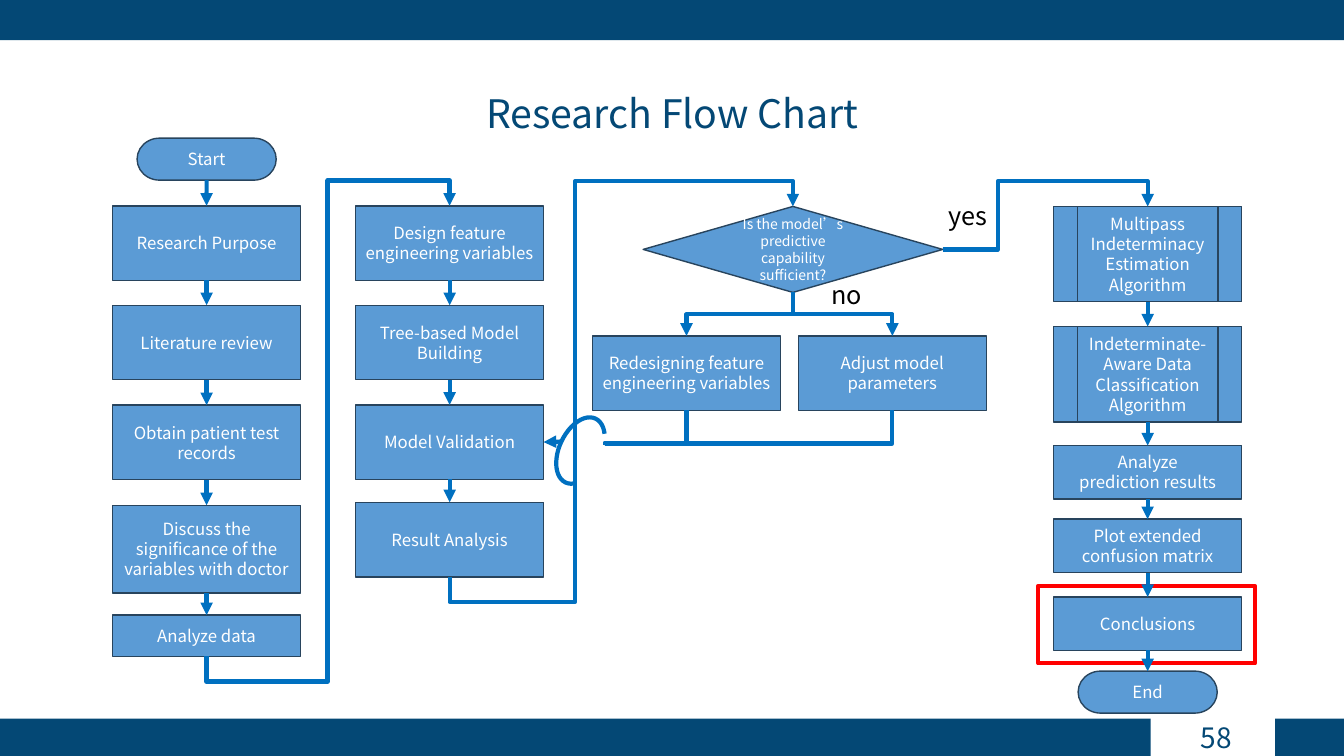
from dataclasses import dataclass
from itertools import pairwise

from lxml import etree
from pptx import Presentation
from pptx import util as u
from pptx.dml.color import RGBColor
from pptx.enum import shapes, text
from pptx.oxml.ns import qn

Pt = u.Pt
Kind = shapes.MSO_SHAPE
Align = text.PP_ALIGN
Anchor = text.MSO_ANCHOR

FONT = "Noto Sans CJK SC"
COLOURS = {
    "navy": "044875", "box": "5B9BD5", "edge": "28445D", "arrow": "0070C0",
    "frame": "FF0000", "white": "FFFFFF", "black": "000000",
}
TOP, LEFT, BOTTOM, RIGHT = range(4)
FIRST, SECOND, LAST = 147.6, 321.2, 819.8  # centres of the three columns
BOX_WIDTH, BOX_HEIGHT = 134.2, 53.2


@dataclass(frozen=True)
class Node:
    label: str
    centre: float
    top: float
    height: float = BOX_HEIGHT
    width: float = BOX_WIDTH
    kind: Kind = Kind.FLOWCHART_PROCESS
    size: float = 12

    def site(self, side: int) -> tuple[float, float]:
        """Point at the middle of one side."""
        dx, dy = ((0, 0), (-0.5, 0.5), (0, 1), (0.5, 0.5))[side]
        return self.centre + dx * self.width, self.top + dy * self.height


@dataclass(frozen=True)
class Elbow:
    """Bends are absolute positions, taken in turn along the two axes."""
    source: Node
    target: Node | tuple[float, float]
    bends: tuple[float, ...]
    side: int = BOTTOM


start = Node("Start", FIRST, 98.7, 30, 99.4, Kind.FLOWCHART_TERMINATOR)
analyze = Node("Analyze data", FIRST, 439.4, 29.5)
design = Node("Design feature engineering variables", SECOND, 147)
validation = Node("Model Validation", SECOND, 289.2)
result = Node("Result Analysis", SECOND, 358.8)
decision = Node("Is the model’s predictive capability sufficient?", 566.4, 147.5,
                61.4, 214, Kind.FLOWCHART_DECISION, 10)
redesign = Node("Redesigning feature engineering variables", 490.4, 239.9)
adjust = Node("Adjust model parameters", 637.4, 239.9)
multipass = Node("Multipass Indeterminacy Estimation Algorithm", LAST, 147.5, 68,
                 kind=Kind.FLOWCHART_PREDEFINED_PROCESS)

CHAINS = [
    [start,
     Node("Research Purpose", FIRST, 147),
     Node("Literature review", FIRST, 218),
     Node("Obtain patient test records", FIRST, 289.4),
     Node("Discuss the significance of the variables with doctor", FIRST, 360.9, 62.6),
     analyze],
    [design, Node("Tree-based Model Building", SECOND, 218), validation, result],
    [decision], [redesign], [adjust],
    [multipass,
     Node("Indeterminate-Aware Data Classification Algorithm", LAST, 233.2, 68.3,
          kind=Kind.FLOWCHART_PREDEFINED_PROCESS),
     Node("Analyze\nprediction results", LAST, 318.2, 38.2),
     Node("Plot extended confusion matrix", LAST, 370.8, 38.2),
     Node("Conclusions", LAST, 426.4, 38.2),
     Node("End", LAST, 479.4, 30, 99.4, Kind.FLOWCHART_TERMINATOR)],
]
MERGE = (432, 317.2)
ELBOWS = [
    Elbow(analyze, design, (487, 234, 129)),
    Elbow(result, decision, (430, 411, 129.5)),
    Elbow(decision, adjust, (224.5,)),
    Elbow(decision, redesign, (224.5,)),
    Elbow(redesign, MERGE, (316.4,)),
    Elbow(adjust, MERGE, (316.9,)),
    Elbow(decision, multipass, (712.8, 129.5), RIGHT),
]
BANDS = [(0, -0.6, 960, 29.3), (910.8, 513.4, 49.2, 26.6), (0, 513.4, 822, 26.6)]

deck = Presentation()
deck.slide_width, deck.slide_height = Pt(960), Pt(540)
page = deck.slides.add_slide(deck.slide_layouts[6])
drawn = {}


def colour(name: str) -> RGBColor:
    return RGBColor.from_string(COLOURS[name])


def write(box, words: str, *, size: float, ink: str, align=Align.CENTER,
          anchor=Anchor.MIDDLE) -> None:
    frame = box.text_frame
    frame.word_wrap = True
    frame.vertical_anchor = anchor
    frame.text = words
    for para in frame.paragraphs:
        para.alignment = align
        for span in para.runs:
            span.font.name = FONT
            span.font.size = Pt(size)
            span.font.color.rgb = colour(ink)


def add_label(words: str, left: float, top: float, width: float, height: float, **style) -> None:
    write(page.shapes.add_textbox(*map(Pt, (left, top, width, height))), words, **style)


def add_box(kind: Kind, left: float, top: float, width: float, height: float, *,
            fill: str | None = None, line: str | None = None, weight: float = 1):
    box = page.shapes.add_shape(kind, *map(Pt, (left, top, width, height)))
    box.shadow.inherit = False
    if fill:
        box.fill.solid()
        box.fill.fore_color.rgb = colour(fill)
    else:
        box.fill.background()
    if line:
        box.line.color.rgb = colour(line)
        box.line.width = Pt(weight)
    else:
        box.line.fill.background()
    return box


def add_node(node: Node) -> None:
    left = node.centre - node.width / 2
    drawn[node] = add_box(node.kind, left, node.top, node.width, node.height,
                          fill="box", line="edge")
    write(drawn[node], node.label, size=node.size, ink="white")


def add_line(begin: tuple, end: tuple, *, arrow: bool = True,
             kind=shapes.MSO_CONNECTOR.STRAIGHT):
    line = page.shapes.add_connector(kind, *map(Pt, (*begin, *end)))
    line.line.color.rgb = colour("arrow")
    line.line.width = Pt(3)
    if arrow:
        etree.SubElement(line.line._get_or_add_ln(), qn("a:tailEnd"), type="triangle")
    etree.SubElement(line._element.spPr, qn("a:effectLst"))
    return line


def add_elbow(elbow: Elbow) -> None:
    to_node = isinstance(elbow.target, Node)
    begin = elbow.source.site(elbow.side)
    end = elbow.target.site(TOP) if to_node else elbow.target
    line = add_line(begin, end, arrow=to_node, kind=shapes.MSO_CONNECTOR.ELBOW)
    line.begin_connect(drawn[elbow.source], elbow.side)
    if to_node:
        line.end_connect(drawn[elbow.target], TOP)

    (x0, y0), (x1, y1) = begin, end
    width, height = abs(x1 - x0), abs(y1 - y0)
    frame = line._element.spPr.xfrm
    vertical = elbow.side == BOTTOM
    if vertical:  # a quarter turn swaps the sides of the frame
        width, height = height, width
        frame.rot = 90
        frame.flipH, frame.flipV = y1 < y0, x1 > x0
    else:
        frame.flipH, frame.flipV = x1 < x0, y1 < y0
    line.left, line.top = Pt((x0 + x1 - width) / 2), Pt((y0 + y1 - height) / 2)
    line.width, line.height = Pt(width), Pt(height)

    shape = line._element.spPr.find(qn("a:prstGeom"))
    shape.set("prst", f"bentConnector{len(elbow.bends) + 2}")
    guides = shape.get_or_add_avLst()
    for index, bend in enumerate(elbow.bends):
        axis = (index + vertical) % 2
        share = (bend - begin[axis]) / (end[axis] - begin[axis])
        etree.SubElement(guides, qn("a:gd"), name=f"adj{index + 1}",
                         fmla=f"val {round(share * 100000)}")


add_box(Kind.RECTANGLE, 741.6, 418.5, 154.8, 55.4, line="frame", weight=3)
for band in BANDS:
    add_box(Kind.RECTANGLE, *band, fill="navy")
add_label("58", 671, 512.6, 216, 28.8, size=20, ink="navy", align=Align.RIGHT)
add_label("Research Flow Chart", 176.4, 60.5, 607.7, 41, size=28, ink="navy", anchor=Anchor.TOP)

for chain in CHAINS:
    for node in chain:
        add_node(node)
    for upper, lower in pairwise(chain):
        link = add_line(upper.site(BOTTOM), lower.site(TOP))
        link.begin_connect(drawn[upper], BOTTOM)
        link.end_connect(drawn[lower], TOP)
for elbow in ELBOWS:
    add_elbow(elbow)

back = add_line((401, 315.4), validation.site(RIGHT))
back.end_connect(drawn[validation], RIGHT)
hop = add_box(Kind.ARC, 389.5, 306.7, 50.4, 30.2, line="arrow", weight=3)
hop.rotation = 295.1
for index, degrees in enumerate((162, 30)):
    hop.adjustments[index] = degrees * 0.6

for words, left, top, width in (("yes", 670.3, 139.7, 52.6), ("no", 586.8, 195.8, 61.2)):
    add_label(words, left, top, width, 28.8, size=18, ink="black",
              align=Align.LEFT, anchor=Anchor.TOP)

deck.save("out.pptx")
